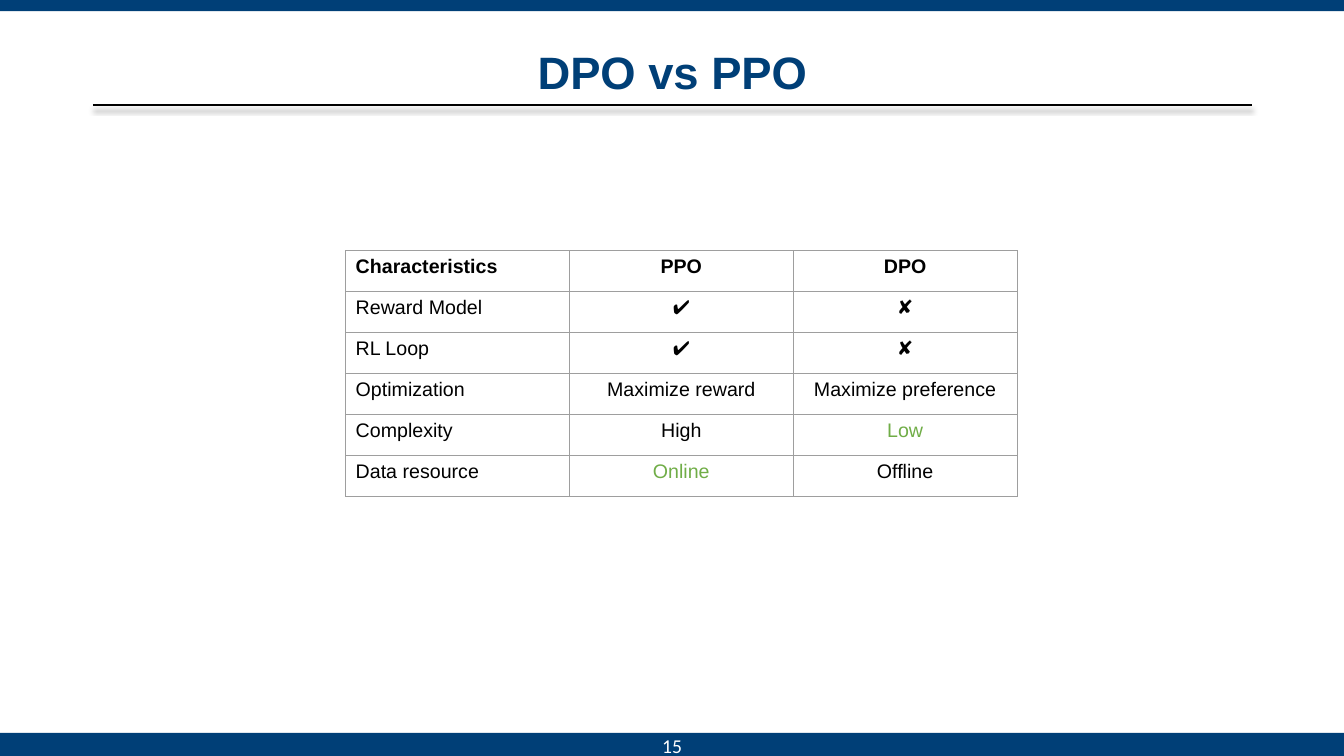
"""Build the slide that compares DPO with PPO in a table."""
from lxml.etree import SubElement
from pptx import Presentation
from pptx.dml.color import RGBColor
from pptx.enum.shapes import MSO_CONNECTOR as Connector, MSO_SHAPE as Shape
from pptx.enum.text import MSO_ANCHOR as Anchor, PP_ALIGN as Align
from pptx.oxml import parse_xml
from pptx.oxml.ns import nsdecls, qn
from pptx.util import Cm, Pt

NAVY = RGBColor(0x00, 0x3F, 0x77)
BLACK = RGBColor(0x00, 0x00, 0x00)
WHITE = RGBColor(0xFF, 0xFF, 0xFF)
GREEN = RGBColor(0x70, 0xAD, 0x47)
GREY = RGBColor(0x9E, 0x9E, 0x9E)

ROWS = [
    ("Characteristics", "PPO", "DPO"),
    ("Reward Model", "✔︎", "✘"),
    ("RL Loop", "✔︎", "✘"),
    ("Optimization", "Maximize reward", "Maximize preference"),
    ("Complexity", "High", "Low"),
    ("Data resource", "Online", "Offline"),
]
ADVANTAGES = {"Low", "Online"}


def write_text(text_frame, text, size, font_name, color, align, bold=False):
    """Put one formatted paragraph into a text frame."""
    text_frame.text = text
    paragraph = text_frame.paragraphs[0]
    paragraph.alignment = align
    font = paragraph.runs[0].font
    font.size, font.name, font.bold = Pt(size), font_name, bold
    font.color.rgb = color
    return paragraph


def add_label(left, top, width, height):
    """Add a wrapping text box with vertically centred text."""
    text_frame = slide.shapes.add_textbox(Cm(left), Cm(top), Cm(width), Cm(height)).text_frame
    text_frame.word_wrap = True
    text_frame.vertical_anchor = Anchor.MIDDLE
    return text_frame


presentation = Presentation()
presentation.slide_width = Cm(33.87)
presentation.slide_height = Cm(19.05)
slide = presentation.slides.add_slide(presentation.slide_layouts[6])

for top, height in ((0, 0.28), (18.47, 0.71)):
    bar = slide.shapes.add_shape(Shape.RECTANGLE, 0, Cm(top), presentation.slide_width, Cm(height))
    bar.shadow.inherit = False
    bar.fill.solid()
    bar.fill.fore_color.rgb = NAVY
    bar.line.fill.background()

title_rule = slide.shapes.add_connector(Connector.STRAIGHT, Cm(2.34), Cm(2.64), Cm(31.55), Cm(2.64))
title_rule.line.color.rgb = BLACK
title_rule.line.width = Pt(1.5)
title_rule.element.spPr.append(parse_xml(
    f'<a:effectLst {nsdecls("a")}>'
    f'<a:outerShdw blurRad="{Pt(4)}" dist="{Pt(3)}" dir="5400000" algn="t" rotWithShape="0">'
    '<a:srgbClr val="000000"><a:alpha val="40000"/></a:srgbClr>'
    '</a:outerShdw></a:effectLst>'))

title = write_text(add_label(2.34, 1.17, 29.21, 1.45), "DPO vs PPO", 32.4, "Arial", NAVY, Align.CENTER, True)
title.line_spacing = 0.9
write_text(add_label(13.13, 18.29, 7.62, 1.02), "15", 14, "Calibri", WHITE, Align.CENTER)

table = slide.shapes.add_table(
    len(ROWS), len(ROWS[0]), Cm(8.71), Cm(6.32), Cm(16.93), Cm(6.18)).table
for column in table.columns:
    column.width = Cm(5.64)
for row in table.rows:
    row.height = Cm(1.03)

for row_index, values in enumerate(ROWS):
    for column_index, value in enumerate(values):
        cell = table.cell(row_index, column_index)
        color = GREEN if value in ADVANTAGES else BLACK
        align = Align.CENTER if column_index else Align.LEFT
        write_text(cell.text_frame, value, 14, "Arial", color, align, row_index == 0)
        properties = cell._tc.get_or_add_tcPr()
        for side in ("lnL", "lnR", "lnT", "lnB"):
            border = SubElement(properties, qn(f"a:{side}"), w=str(Pt(0.75)))
            border_fill = SubElement(border, qn("a:solidFill"))
            SubElement(border_fill, qn("a:srgbClr"), val=str(GREY))
        cell.fill.background()

presentation.save("out.pptx")
